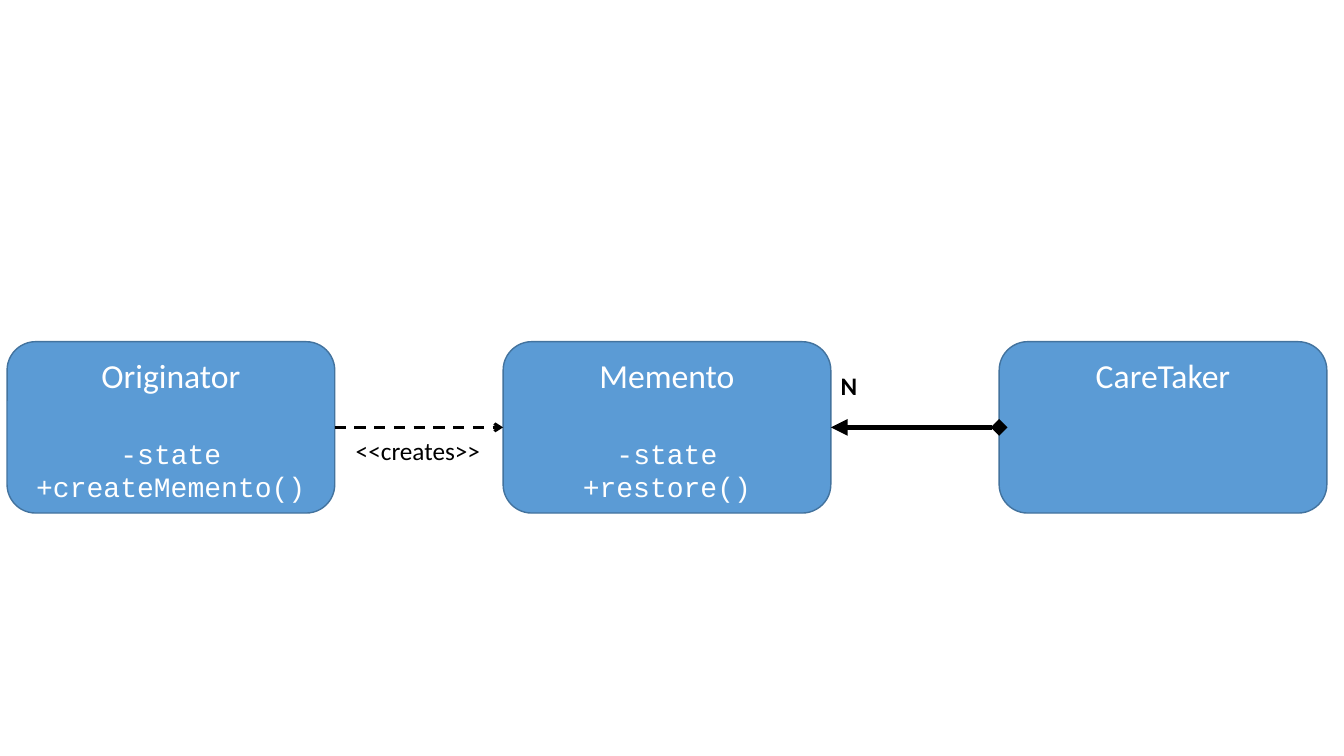
from dataclasses import dataclass

from lxml import etree
from pptx import Presentation
from pptx import util as u
from pptx.dml.color import RGBColor
from pptx.enum import dml, shapes, text
from pptx.oxml import ns

BOX_LEFT, BOX_TOP, BOX_W, BOX_H, BOX_STEP = 0.07, 3.39, 3.25, 1.7, 4.92
AXIS_Y = BOX_TOP + BOX_H / 2


@dataclass
class UmlClass:
    name: str
    members: tuple[str, ...] = ()


@dataclass
class Relation:
    start: float
    end: float
    width: float
    tail: str
    head: str = ""
    dashed: bool = False


@dataclass
class Label:
    words: str
    left: float
    top: float
    width: float
    bold: bool = False


def box_left(i: int) -> float:
    return BOX_LEFT + i * BOX_STEP


def box_right(i: int) -> float:
    return box_left(i) + BOX_W


def paint(fmt, colour: str) -> None:
    fmt.solid()
    fmt.fore_color.rgb = RGBColor.from_string(colour)


def write(p, words: str, *, size: float, colour: str, font: str = "Calibri",
          bold: bool = False, align=text.PP_ALIGN.LEFT, before: float = 0) -> None:
    p.alignment = align
    p.space_before = u.Pt(before)
    r = p.add_run()
    r.text = words
    r.font.name = font
    r.font.size = u.Pt(size)
    r.font.bold = bold
    paint(r.font.fill, colour)


def draw_class(s, c: UmlClass, left: float) -> None:
    sp = s.shapes.add_shape(shapes.MSO_SHAPE.ROUNDED_RECTANGLE, u.Inches(left),
                            u.Inches(BOX_TOP), u.Inches(BOX_W), u.Inches(BOX_H))
    sp.shadow.inherit = False
    paint(sp.fill, "5B9BD5")
    paint(sp.line.fill, "43739E")
    sp.line.width = u.Pt(1)
    tf = sp.text_frame
    tf.word_wrap = True
    tf.vertical_anchor = text.MSO_ANCHOR.TOP
    centre = text.PP_ALIGN.CENTER
    write(tf.paragraphs[0], c.name, size=24, colour="FFFFFF", align=centre)
    for i, member in enumerate(c.members):
        write(tf.add_paragraph(), member, size=20, colour="FFFFFF",
              font="Courier New", align=centre, before=0 if i else 29.3)


def draw_relation(s, rel: Relation) -> None:
    y = u.Inches(AXIS_Y)
    sp = s.shapes.add_connector(shapes.MSO_CONNECTOR.STRAIGHT, u.Inches(rel.start), y,
                                u.Inches(rel.end), y)
    paint(sp.line.fill, "000000")
    sp.line.width = u.Pt(rel.width)
    if rel.dashed:
        sp.line.dash_style = dml.MSO_LINE.DASH
    ln = sp.line._get_or_add_ln()
    for tag, kind in (("a:headEnd", rel.head), ("a:tailEnd", rel.tail)):
        if kind:
            etree.SubElement(ln, ns.qn(tag), type=kind)
    etree.SubElement(sp._element.spPr, ns.qn("a:effectLst"))


def draw_label(s, label: Label) -> None:
    sp = s.shapes.add_textbox(u.Inches(label.left), u.Inches(label.top),
                              u.Inches(label.width), u.Inches(0.4))
    tf = sp.text_frame
    tf.word_wrap = False
    tf.auto_size = text.MSO_AUTO_SIZE.SHAPE_TO_FIT_TEXT
    write(tf.paragraphs[0], label.words, size=18, colour="000000", bold=label.bold)


CLASSES = [
    UmlClass("Originator", ("-state", "+createMemento()")),
    UmlClass("Memento", ("-state", "+restore()")),
    UmlClass("CareTaker"),
]
RELATIONS = [
    Relation(box_right(0), box_left(1), 2, "arrow", dashed=True),
    Relation(box_left(2), box_right(1), 4, "triangle", head="diamond"),
]
LABELS = [
    Label("<<creates>>", 3.43, 4.27, 1.45),
    Label("N", box_right(1), 3.62, 0.36, bold=True),
]


def main() -> None:
    prs = Presentation()
    prs.slide_width, prs.slide_height = u.Inches(13.33), u.Inches(7.5)
    s = prs.slides.add_slide(prs.slide_layouts[6])
    for i, c in enumerate(CLASSES):
        draw_class(s, c, box_left(i))
    for rel in RELATIONS:
        draw_relation(s, rel)
    for label in LABELS:
        draw_label(s, label)
    prs.save("out.pptx")


if __name__ == "__main__":
    main()
